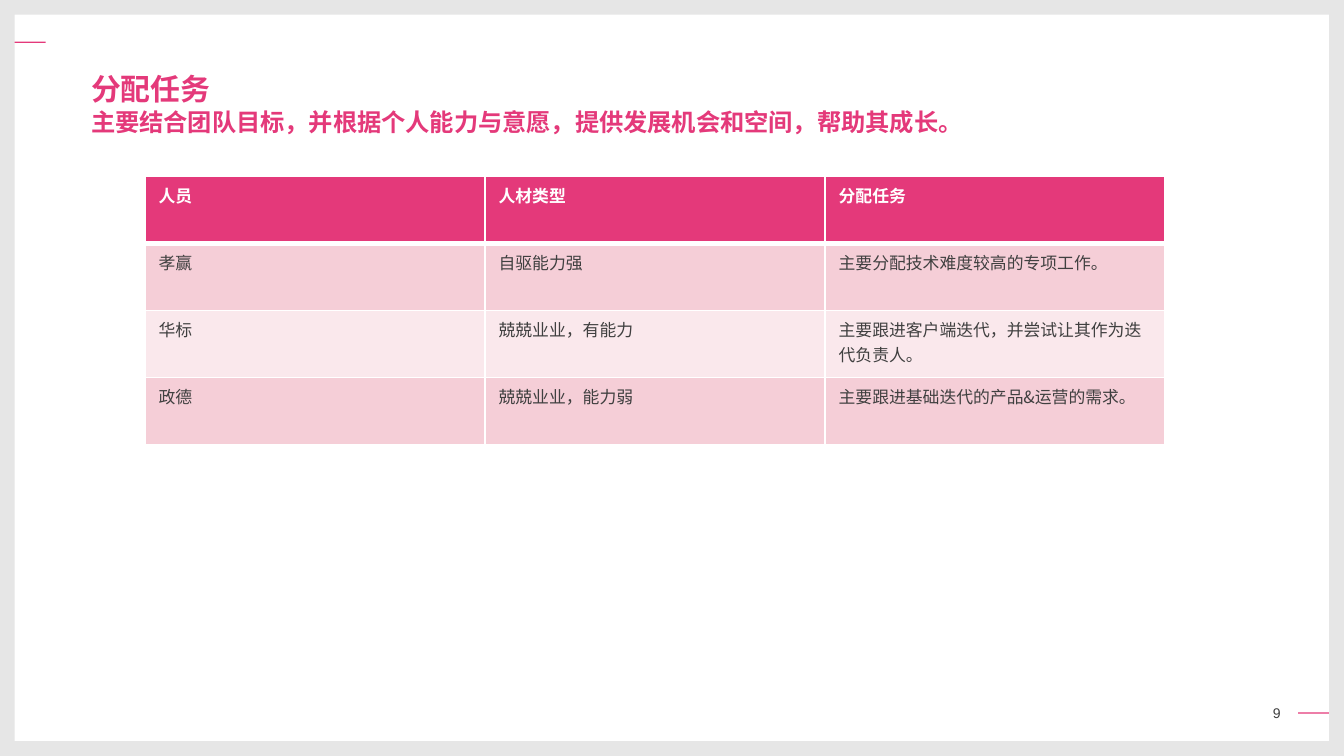
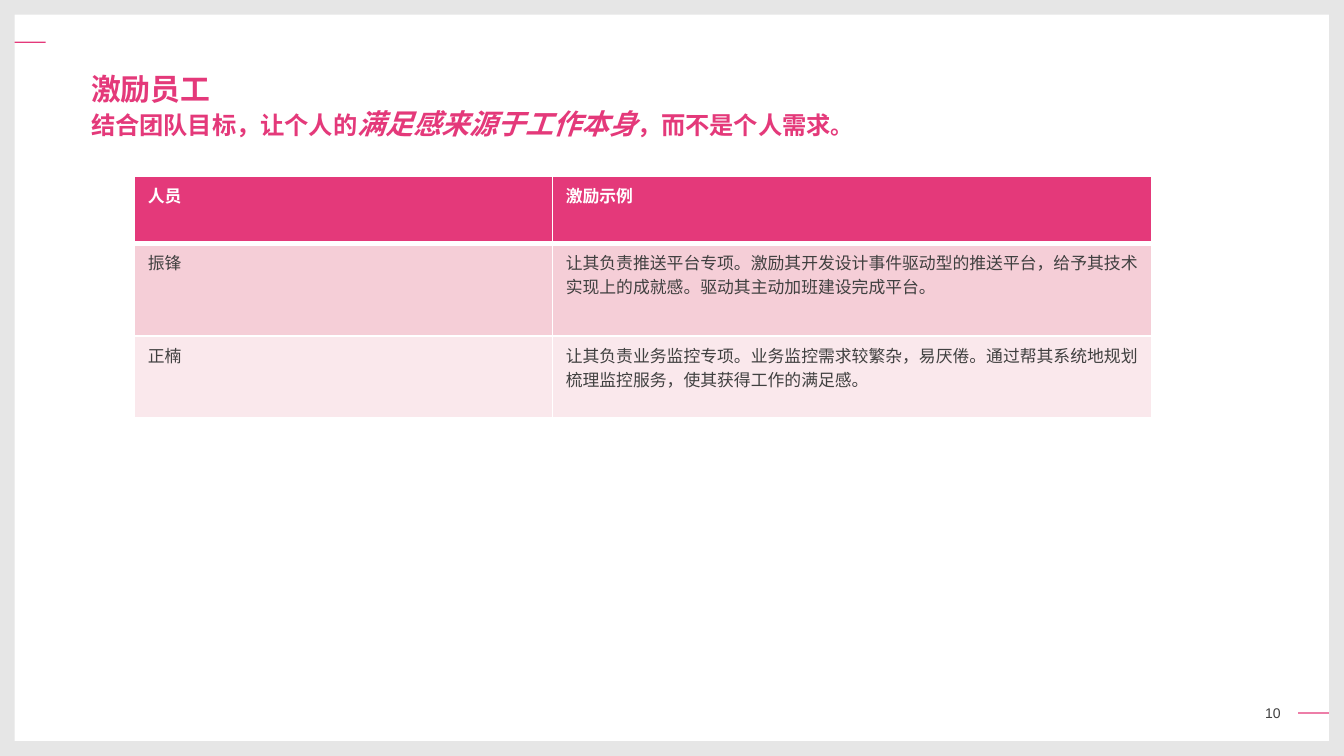
"""Build two slides on assigning tasks and motivating staff, each with a table."""
from dataclasses import dataclass

from lxml import etree
from pptx import Presentation
from pptx.dml.color import RGBColor
from pptx.enum.shapes import MSO_SHAPE
from pptx.enum.text import MSO_ANCHOR, MSO_AUTO_SIZE, PP_ALIGN
from pptx.oxml.ns import qn
from pptx.util import Inches, Pt

RECT = MSO_SHAPE.RECTANGLE
MIDDLE = MSO_ANCHOR.MIDDLE
RIGHT = PP_ALIGN.RIGHT
GROW = MSO_AUTO_SIZE.SHAPE_TO_FIT_TEXT


@dataclass(frozen=True)
class Theme:
    pink: str = "E4397A"
    band_dark: str = "F5CED7"
    band_light: str = "FAE8EC"
    frame: str = "E6E6E6"
    white: str = "FFFFFF"
    ink: str = "404040"
    cjk: str = "Noto Sans CJK SC"
    latin: str = "Arial"
    title: float = 16
    subtitle: float = 13
    emphasis: float = 15
    stop: float = 12
    cell: float = 9
    number: float = 7.5


T = Theme()
W, EDGE = 10, 0.11
H = W * 9 / 16
DASH_W, DASH_H = 0.34, 0.01

FRAME = [
    (0, 0.31, DASH_W, DASH_H, T.pink),
    (W - DASH_W, 5.3, DASH_W, DASH_H, T.pink),
    (0, 0, EDGE, H, T.frame),
    (W - EDGE, 0, EDGE, H, T.frame),
    (0, 0, W, EDGE, T.frame),
    (0, H - EDGE, W, EDGE, T.frame),
]

SLIDES = [
    dict(
        number="9",
        title="分配任务",
        subtitle=[("主要结合团队目标，并根据个人能力与意愿，提供发展机会和空间，帮助其成长。",
                   dict(size=T.subtitle, font=T.latin))],
        box=(6.77, 0.59),
        left=1.08,
        cols=[2.53, 2.53, 2.53],
        heights=[0.5, 0.5, 0.5, 0.5],
        rows=[
            ["人员", "人材类型", "分配任务"],
            ["孝赢", "自驱能力强", "主要分配技术难度较高的专项工作。"],
            ["华标", "兢兢业业，有能力", "主要跟进客户端迭代，并尝试让其作为迭代负责人。"],
            ["政德", "兢兢业业，能力弱", "主要跟进基础迭代的产品&运营的需求。"],
        ],
    ),
    dict(
        number="10",
        title="激励员工",
        subtitle=[("结合团队目标，让个人的", dict(size=T.subtitle)),
                  ("满足感来源于工作本身", dict(size=T.emphasis, italic=True)),
                  ("，而不是个人需求", dict(size=T.subtitle)),
                  ("。", dict(size=T.stop))],
        box=(5.94, 0.62),
        left=1,
        cols=[3.11, 4.46],
        heights=[0.5, 0.69, 0.61],
        rows=[
            ["人员", "激励示例"],
            ["振锋", "让其负责推送平台专项。激励其开发设计事件驱动型的推送平台，"
                   "给予其技术实现上的成就感。驱动其主动加班建设完成平台。"],
            ["正楠", "让其负责业务监控专项。业务监控需求较繁杂，易厌倦。"
                   "通过帮其系统地规划梳理监控服务，使其获得工作的满足感。"],
        ],
    ),
]


def write(p, text, size, color=T.pink, bold=True, italic=False, font=T.cjk):
    r = p.add_run()
    r.text = text
    r.font.name = font
    r.font.size = Pt(size)
    r.font.bold = bold
    r.font.italic = italic
    r.font.color.rgb = RGBColor.from_string(color)
    etree.SubElement(r._r.get_or_add_rPr(), qn("a:ea"), typeface=T.cjk)


def border(cell, side, width):
    ln = etree.SubElement(cell._tc.get_or_add_tcPr(), qn(f"a:ln{side}"), w=str(Pt(width)))
    fill = etree.SubElement(ln, qn("a:solidFill"))
    etree.SubElement(fill, qn("a:srgbClr"), val=T.white)


prs = Presentation()
prs.slide_width, prs.slide_height = Inches(W), Inches(H)

for page in SLIDES:
    s = prs.slides.add_slide(prs.slide_layouts[6])
    s.background.fill.solid()
    s.background.fill.fore_color.rgb = RGBColor.from_string(T.white)

    for *place, color in FRAME:
        sp = s.shapes.add_shape(RECT, *map(Inches, place))
        sp.shadow.inherit = False
        sp.fill.solid()
        sp.fill.fore_color.rgb = RGBColor.from_string(color)
        sp.line.fill.background()

    tf = s.shapes.add_textbox(Inches(9.26), Inches(5.16), Inches(0.27), Inches(0.29)).text_frame
    tf.word_wrap = True
    tf.vertical_anchor = MIDDLE
    tf.margin_left = tf.margin_right = 0
    tf.paragraphs[0].alignment = RIGHT
    write(tf.paragraphs[0], page["number"], T.number, color=T.ink, bold=False, font=T.latin)

    tf = s.shapes.add_textbox(Inches(0.58), Inches(0.48), *map(Inches, page["box"])).text_frame
    tf.word_wrap = False
    tf.auto_size = GROW
    write(tf.paragraphs[0], page["title"], T.title)
    p = tf.add_paragraph()
    for text, fmt in page["subtitle"]:
        write(p, text, **fmt)

    cols, heights, rows = page["cols"], page["heights"], page["rows"]
    table = s.shapes.add_table(len(rows), len(cols), Inches(page["left"]), Inches(1.31),
                               Inches(sum(cols)), Inches(sum(heights))).table
    table.horz_banding = False
    for col, width in zip(table.columns, cols):
        col.width = Inches(width)
    for i, texts in enumerate(rows):
        table.rows[i].height = Inches(heights[i])
        header = i == 0
        color = T.pink if header else T.band_dark if i % 2 else T.band_light
        for j, text in enumerate(texts):
            cell = table.cell(i, j)
            write(cell.text_frame.paragraphs[0], text, T.cell,
                  color=T.white if header else T.ink, bold=header)
            for side in "LRTB":
                border(cell, side, 3 if (i, side) in ((0, "B"), (1, "T")) else 1)
            cell.fill.solid()
            cell.fill.fore_color.rgb = RGBColor.from_string(color)

prs.save("out.pptx")
